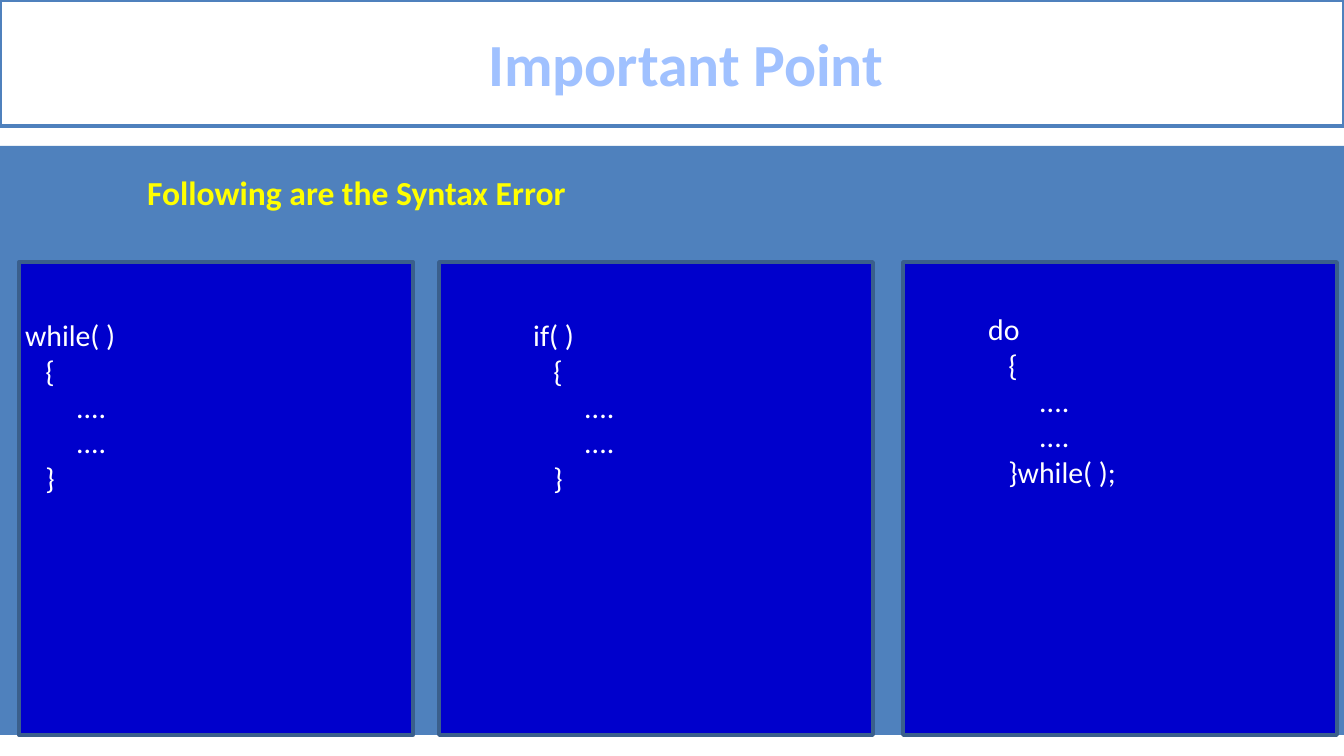
from pptx import Presentation
from pptx.dml.color import RGBColor
from pptx.enum.shapes import MSO_SHAPE
from pptx.enum.text import MSO_ANCHOR, PP_ALIGN
from pptx.util import Emu, Pt

PX = 914400 / 134.4
SLIDE = (1344, 756)

BLUE, NAVY, EDGE, WHITE = "4F81BD", "0000CC", "3A5F8C", "FFFFFF"
TITLE_FONT = {"size": Pt(32), "bold": True, "color": "A0C1FF"}
HEADING_FONT = {"size": Pt(18), "bold": True, "color": "FFFF00"}
CODE_FONT = {"size": Pt(16), "color": WHITE}

TITLE = "Important Point"
HEADING = "Following are the Syntax Error"
BODY = ["   {", "\t....", "\t...."]
PANEL_HEIGHT = 473
CODE_HEIGHT = 195
CODE_INDENT = (185, -51)

# panel (left, top, width), code box (left, top, width), lines
PANELS = [
    ((19, 262, 394), (-122, 310, 630), ["while( )", *BODY, "   }"]),
    ((439, 262, 434), (386, 310, 391), ["if( )", *BODY, "   }"]),
    ((903, 262, 434), (841, 304, 391), ["do", *BODY, "   }while( );"]),
]


def px(n):
    return Emu(round(n * PX))


def rgb(color):
    return RGBColor.from_string(color)


def add_rect(s, box, fill, line=None):
    sp = s.shapes.add_shape(MSO_SHAPE.RECTANGLE, *map(px, box))
    sp.shadow.inherit = False
    sp.fill.solid()
    sp.fill.fore_color.rgb = rgb(fill)
    if line:
        sp.line.color.rgb = rgb(line)
        sp.line.width = Pt(2)
    else:
        sp.line.fill.background()
    return sp


def write(tf, lines, font, margin, indent=0, align=PP_ALIGN.LEFT):
    """Fill a text frame with one paragraph a line; margin and indent are in px."""
    tf.word_wrap = True
    for i, line in enumerate(lines):
        p = tf.paragraphs[0] if i == 0 else tf.add_paragraph()
        p.alignment = align
        pPr = p._p.get_or_add_pPr()
        pPr.set("marL", str(px(margin)))
        pPr.set("indent", str(px(indent)))
        r = p.add_run()
        r.text = line
        r.font.name = "Calibri"
        for key, value in font.items():
            if key == "color":
                r.font.color.rgb = rgb(value)
            else:
                setattr(r.font, key, value)


def add_text(s, box, *args):
    write(s.shapes.add_textbox(*map(px, box)).text_frame, *args)


def main():
    prs = Presentation()
    prs.slide_width, prs.slide_height = map(px, SLIDE)
    s = prs.slides.add_slide(prs.slide_layouts[6])

    add_rect(s, (0, 146, 1344, 589), BLUE)
    title = add_rect(s, (0, 0, 1344, 126), WHITE, BLUE)
    title.text_frame.vertical_anchor = MSO_ANCHOR.MIDDLE
    write(title.text_frame, [TITLE], TITLE_FONT, 28, 0, PP_ALIGN.CENTER)
    add_text(s, (0, 165, 1344, 54), [HEADING], HEADING_FONT, 134)

    for panel, code, lines in PANELS:
        add_rect(s, (*panel, PANEL_HEIGHT), NAVY, EDGE)
        add_text(s, (*code, CODE_HEIGHT), lines, CODE_FONT, *CODE_INDENT)

    prs.save("out.pptx")


if __name__ == "__main__":
    main()
